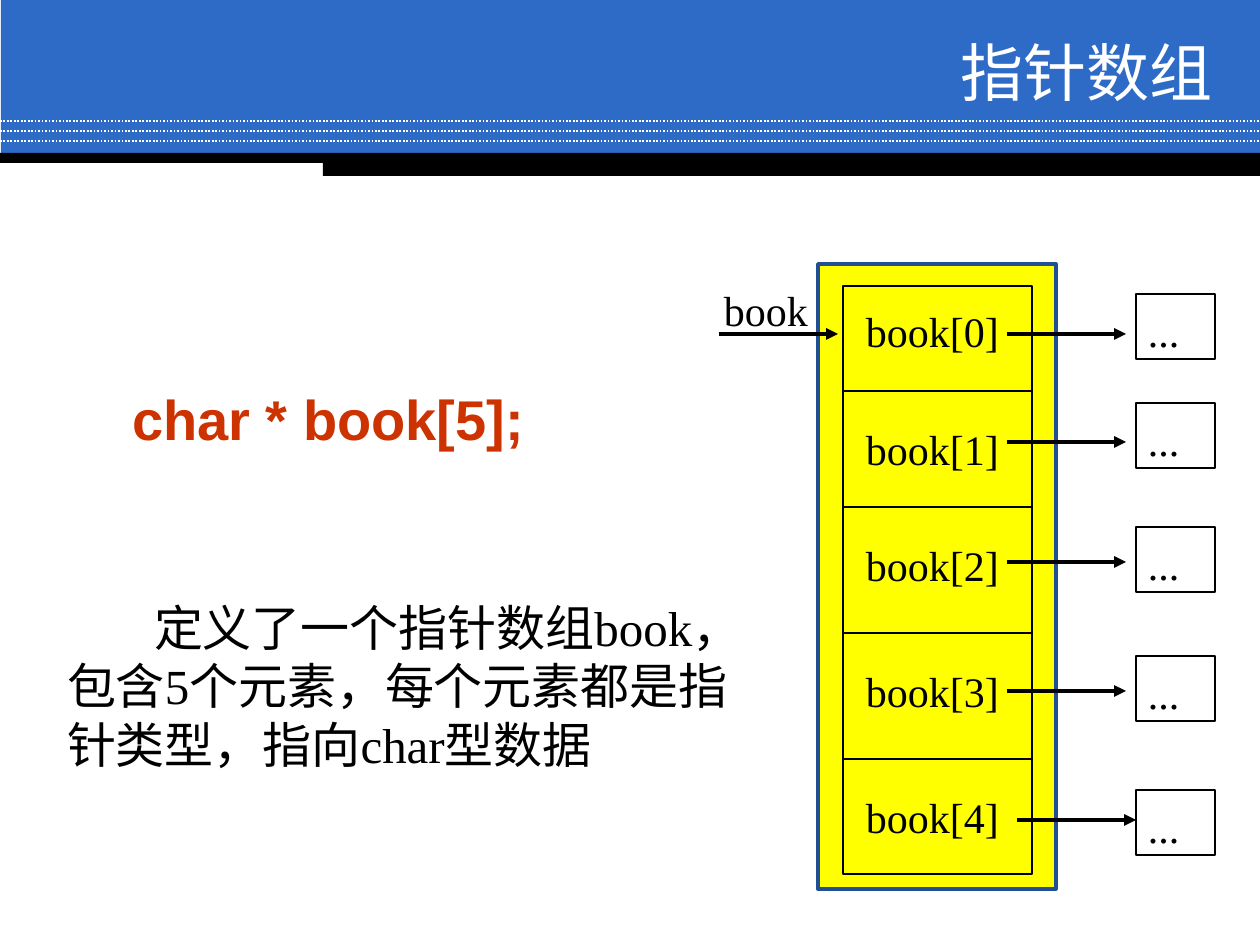
from pptx import Presentation
from pptx.dml.color import RGBColor
from pptx.enum.dml import MSO_LINE
from pptx.enum.shapes import MSO_CONNECTOR, MSO_SHAPE
from pptx.enum.text import MSO_ANCHOR, MSO_AUTO_SIZE, PP_ALIGN
from pptx.oxml.ns import qn
from pptx.util import Pt
from lxml.etree import SubElement

# Content
TITLE = "指针数组"
DECLARATION = "char * book[5];"
BODY = "定义了一个指针数组book，包含5个元素，每个元素都是指针类型，指向char型数据"
POINTER = "book"
# label, label top, arrow start x, arrow y, target top
ELEMENTS = [
    ("book[0]", 306, 1007, 334, 294),
    ("book[1]", 424, 1007, 442, 403),
    ("book[2]", 540, 1007, 562, 527),
    ("book[3]", 666, 1007, 691, 656),
    ("book[4]", 792, 1017, 820, 790),
]
DIVIDERS = [391, 507, 633, 759]
DOTTED = [121, 131, 141]
BANDS = [(1, 0, 1259, 155, "blue"), (0, 153, 1260, 10, "black"),
         (323, 156, 937, 20, "black")]
COLORS = {"blue": "2D6BC7", "black": "000000", "white": "FFFFFF",
          "yellow": "FFFF00", "navy": "214F93", "red": "CC3300"}
SERIF, SANS, CJK = "Times New Roman", "Arial", "Noto Sans CJK SC"
ARROW_LENGTH = 119
SCALE = 914400 // 126


def px(n):
    return n * SCALE


def rgb(name):
    return RGBColor.from_string(COLORS[name])


def add_rect(x, y, w, h, fill=None, line=None, width=1):
    sp = slide.shapes.add_shape(MSO_SHAPE.RECTANGLE, px(x), px(y), px(w), px(h))
    sp.shadow.inherit = False
    if fill:
        sp.fill.solid()
        sp.fill.fore_color.rgb = rgb(fill)
    else:
        sp.fill.background()
    if line:
        sp.line.color.rgb = rgb(line)
        sp.line.width = Pt(width)
    else:
        sp.line.fill.background()
    return sp


def add_line(x1, y1, x2, y2, color="black", width=1, arrow=False):
    line = slide.shapes.add_connector(MSO_CONNECTOR.STRAIGHT, px(x1), px(y1), px(x2), px(y2))
    line.line.color.rgb = rgb(color)
    line.line.width = Pt(width)
    if arrow:
        SubElement(line.line._get_or_add_ln(), qn("a:tailEnd"), type="triangle")
    SubElement(line.element.spPr, qn("a:effectLst"))
    return line


def add_arrow(x, y):
    return add_line(x, y, x + ARROW_LENGTH, y, width=2.25, arrow=True)


def set_text(sp, text, size, font=SERIF, color="black", bold=False,
             align=PP_ALIGN.LEFT, anchor=MSO_ANCHOR.TOP, insets=(0, 0), wrap=False):
    tf = sp.text_frame
    tf.word_wrap = wrap
    tf.auto_size = MSO_AUTO_SIZE.NONE
    tf.vertical_anchor = anchor
    tf.margin_left = tf.margin_right = px(insets[0])
    tf.margin_top = tf.margin_bottom = px(insets[1])
    p = tf.paragraphs[0]
    p.alignment = align
    p.space_before = Pt(0)
    r = p.add_run()
    r.text = text
    r.font.name = font
    r.font.size = Pt(size)
    r.font.bold = bold
    r.font.color.rgb = rgb(color)
    return p, r


def add_label(x, y, w, h, text, size, **style):
    return set_text(slide.shapes.add_textbox(px(x), px(y), px(w), px(h)), text, size, **style)


def place(sp, x, y, w, h):
    sp.left, sp.top, sp.width, sp.height = px(x), px(y), px(w), px(h)


prs = Presentation()
prs.slide_width, prs.slide_height = px(1260), px(945)
slide = prs.slides.add_slide(prs.slide_layouts[1])
title, body = slide.placeholders

# Header bands and dotted lines
for x, y, w, h, color in BANDS:
    add_rect(x, y, w, h, color)
for y in DOTTED:
    add_line(0, y, 1260, y, "white").line.dash_style = MSO_LINE.ROUND_DOT

# Title, in front of the bands
title.element.getparent().append(title.element)
place(title, 354, 35, 872, 73)
p, r = set_text(title, TITLE, 36, CJK, "white", align=PP_ALIGN.RIGHT,
                anchor=MSO_ANCHOR.MIDDLE, insets=(13, 6), wrap=True)
SubElement(r.font._element, qn("a:ea"), typeface=CJK)

# Declaration and explanation
add_label(132, 385, 400, 64, DECLARATION, 32, font=SANS, color="red", bold=True)
place(body, 54, 591, 714, 198)
p, r = set_text(body, BODY, 28, insets=(13, 6), wrap=True)
pPr = p._p.get_or_add_pPr()
pPr.set("marL", "0")
pPr.set("indent", str(px(87)))
SubElement(pPr, qn("a:buNone"))

# Array with its cells
add_rect(818, 264, 238, 625, "yellow", "navy", 2)
add_rect(843, 286, 189, 588, line="black")
for y in DIVIDERS:
    add_line(843, y, 1032, y)

# Pointer to the array
add_label(724, 285, 90, 48, POINTER, 24)
add_arrow(719, 334)

# Elements and their targets
for label, label_y, arrow_x, arrow_y, target_y in ELEMENTS:
    add_label(866, label_y, 140, 48, label, 24)
    add_arrow(arrow_x, arrow_y)
    set_text(add_rect(1136, target_y, 79, 65, line="black"), "...", 24, insets=(12, 12))

prs.save("out.pptx")
